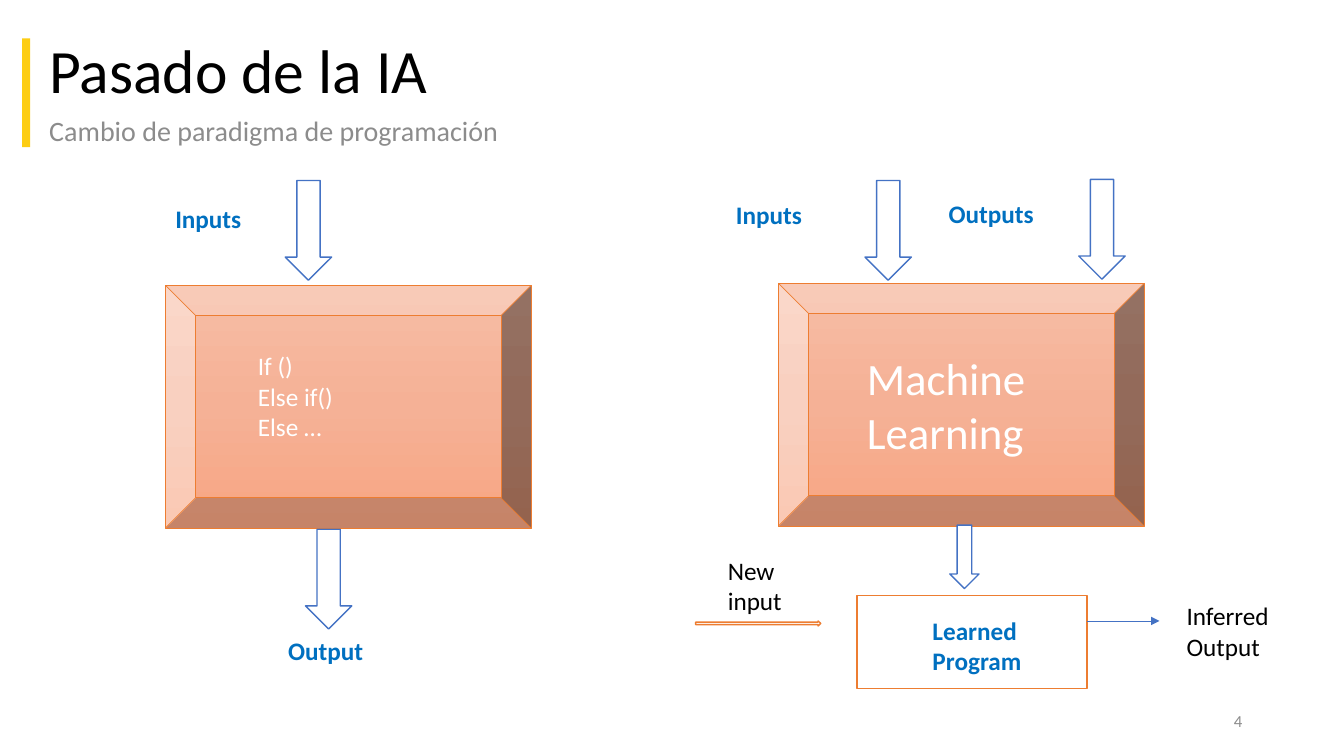
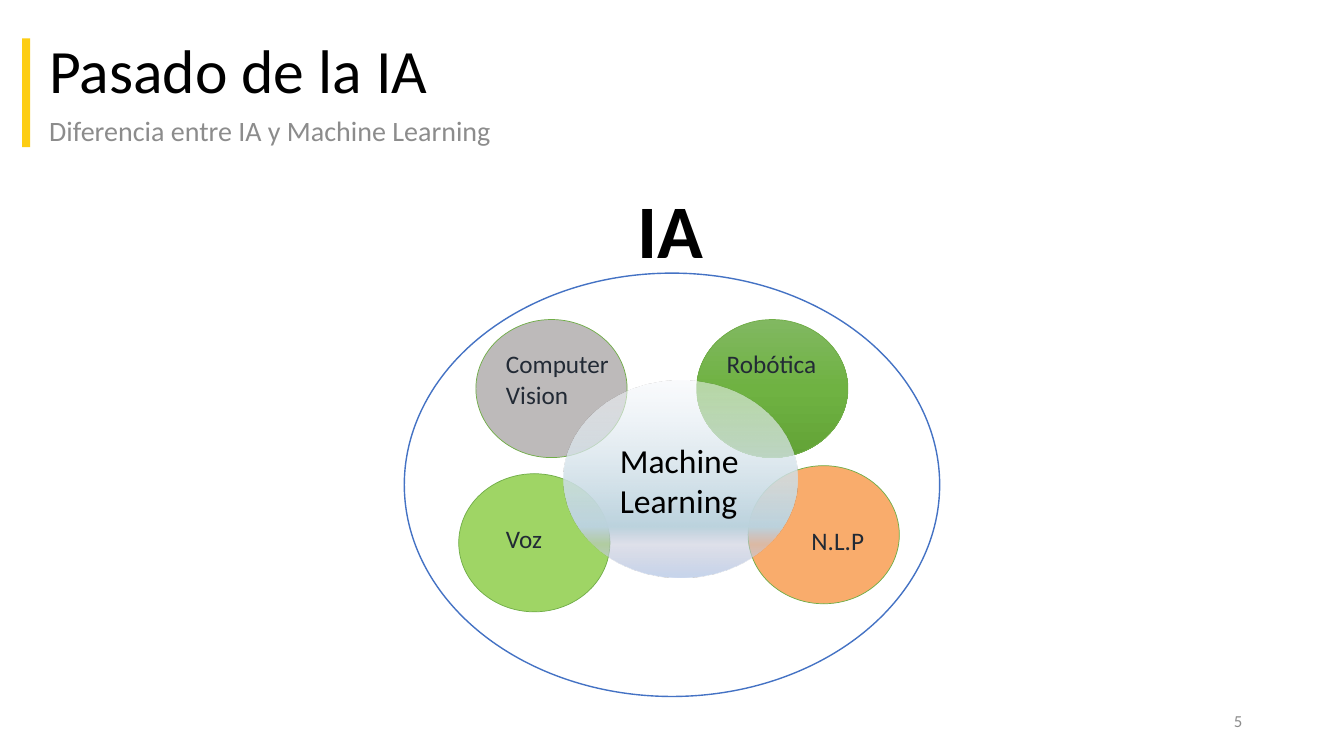
from lxml import etree
from pptx import Presentation
from pptx.dml.color import RGBColor
from pptx.enum.shapes import MSO_CONNECTOR, MSO_SHAPE
from pptx.enum.text import MSO_ANCHOR, PP_ALIGN
from pptx.oxml.ns import qn
from pptx.util import Inches, Pt

RECT, OVAL, BEVEL = MSO_SHAPE.RECTANGLE, MSO_SHAPE.OVAL, MSO_SHAPE.BEVEL
DOWN, RIGHT = MSO_SHAPE.DOWN_ARROW, MSO_SHAPE.RIGHT_ARROW
STRAIGHT = MSO_CONNECTOR.STRAIGHT
TOP, MIDDLE = MSO_ANCHOR.TOP, MSO_ANCHOR.MIDDLE
LEFT, ALIGN_RIGHT = PP_ALIGN.LEFT, PP_ALIGN.RIGHT

FONT = "Calibri"
BLACK = RGBColor(0x00, 0x00, 0x00)
WHITE = RGBColor(0xFF, 0xFF, 0xFF)
GRAY = RGBColor(0x8C, 0x8C, 0x8C)
YELLOW = RGBColor(0xFD, 0xCD, 0x13)
BLUE = RGBColor(0x44, 0x72, 0xC4)
LABEL_BLUE = RGBColor(0x00, 0x70, 0xC0)
ORANGE = RGBColor(0xED, 0x7D, 0x31)
GREEN = RGBColor(0x70, 0xAD, 0x47)
NAVY = RGBColor(0x22, 0x2A, 0x35)
STONE = RGBColor(0x98, 0x94, 0x94)
LIME = RGBColor(0x92, 0xD0, 0x50)
TANGERINE = RGBColor(0xF6, 0x7E, 0x1A)

PEACH_STOPS = [(0, RGBColor(0xF7, 0xBD, 0xA5), 100),
               (50, RGBColor(0xF5, 0xB1, 0x96), 100),
               (100, RGBColor(0xF8, 0xA5, 0x82), 100)]
GREEN_STOPS = [(0, RGBColor(0x81, 0xB8, 0x61), 100),
               (50, RGBColor(0x6F, 0xB2, 0x42), 100),
               (100, RGBColor(0x62, 0xA3, 0x36), 100)]
MIST_STOPS = [(0, RGBColor(0xF6, 0xF8, 0xFC), 52),
              (74, RGBColor(0xBC, 0xD3, 0xDE), 100),
              (83, RGBColor(0xC2, 0xC6, 0xD8), 52),
              (100, RGBColor(0xC7, 0xD5, 0xED), 100)]


def add_alpha(color, percent):
    """Set the opacity of a colour element."""
    etree.SubElement(color, qn("a:alpha")).set("val", str(percent * 1000))


def fill_gradient(sp, stops):
    """Fill a shape from top to bottom with (position, colour, opacity) stops."""
    sp.fill.background()
    grad = etree.Element(qn("a:gradFill"), rotWithShape="1")
    stop_list = etree.SubElement(grad, qn("a:gsLst"))
    for position, color, opacity in stops:
        stop = etree.SubElement(stop_list, qn("a:gs"), pos=str(position * 1000))
        tint = etree.SubElement(stop, qn("a:srgbClr"), val=str(color))
        if opacity < 100:
            add_alpha(tint, opacity)
    etree.SubElement(grad, qn("a:lin"), ang="5400000", scaled="0")
    props = sp.element.spPr
    props.replace(props.find(qn("a:noFill")), grad)


def add_shape(s, kind, x, y, w, h, fill=WHITE, line=None, width=1, opacity=100):
    """Add a preset shape with a solid colour or a list of gradient stops."""
    sp = s.shapes.add_shape(kind, Inches(x), Inches(y), Inches(w), Inches(h))
    sp.shadow.inherit = False
    if isinstance(fill, list):
        fill_gradient(sp, fill)
    else:
        sp.fill.solid()
        sp.fill.fore_color.rgb = fill
        if opacity < 100:
            add_alpha(sp.element.spPr.find(qn("a:solidFill"))[0], opacity)
    if line is None:
        sp.line.fill.background()
    else:
        sp.line.color.rgb = line
        sp.line.width = Pt(width)
    return sp


def add_text(s, text, x, y, w, h, size=18, color=BLACK, bold=False,
             align=LEFT, anchor=TOP, spacing=1.0, wrap=True):
    """Add a text box with one paragraph for each line of text."""
    tf = s.shapes.add_textbox(Inches(x), Inches(y), Inches(w), Inches(h)).text_frame
    tf.word_wrap = wrap
    tf.vertical_anchor = anchor
    tf.text = text
    for p in tf.paragraphs:
        p.alignment = align
        p.line_spacing = spacing
        p.font.name = FONT
        p.font.size = Pt(size)
        p.font.bold = bold
        p.font.color.rgb = color


def add_label(s, text, x, y, w=1, h=0.4):
    """Add a bold blue diagram label."""
    add_text(s, text, x, y, w, h, color=LABEL_BLUE, bold=True)


def add_down_arrow(s, x, y, w=0.46, h=0.99):
    """Add an outlined block arrow pointing down."""
    add_shape(s, DOWN, x, y, w, h, line=BLUE)


def add_bevel(s, x, y):
    """Add the raised box that stands for a program."""
    add_shape(s, BEVEL, x, y, 3.63, 2.41, PEACH_STOPS, ORANGE, 0.5)


def add_arrow_line(s, x, y, length):
    """Add a thin horizontal arrow pointing right."""
    line = s.shapes.add_connector(STRAIGHT, Inches(x), Inches(y),
                                  Inches(x + length), Inches(y))
    line.line.color.rgb = BLUE
    line.line.width = Pt(0.5)
    etree.SubElement(line.line._get_or_add_ln(), qn("a:tailEnd"), type="triangle")
    etree.SubElement(line.element.spPr, qn("a:effectLst"))


def add_slide(prs, subtitle, number):
    """Add a slide with the shared accent bar, titles and page number."""
    s = prs.slides.add_slide(prs.slide_layouts[6])
    add_shape(s, RECT, 0.22, 0.38, 0.08, 1.08, YELLOW)
    add_text(s, "Pasado de la IA", 0.39, 0.35, 12.58, 0.76, 44,
             anchor=MIDDLE, spacing=0.9)
    add_text(s, subtitle, 0.39, 1.11, 11.5, 0.4, 20, GRAY, spacing=0.9)
    add_text(s, str(number), 9.42, 6.95, 3, 0.4, 12, GRAY,
             align=ALIGN_RIGHT, anchor=MIDDLE)
    return s


def add_rules_program(s, x, y):
    """Draw the rule-based program, with its bevel at x, y."""
    add_bevel(s, x, y)
    add_down_arrow(s, x + 1.19, y - 1.04)
    add_label(s, "Inputs", x, y - 0.86)
    add_down_arrow(s, x + 1.39, y + 2.42)
    add_label(s, "Output", x + 1.12, y + 3.42)
    add_text(s, "If ()\nElse if()\nElse …", x + 0.82, y + 0.6, 1.81, 1.01,
             color=WHITE)


def add_learning_program(s, x, y):
    """Draw the machine learning flow, with its bevel at x, y."""
    add_bevel(s, x, y)
    add_text(s, "Machine Learning", x + 0.78, y + 0.62, 2.2, 1.18, 32, WHITE)
    add_down_arrow(s, x + 0.86, y - 1.02)
    add_label(s, "Inputs", x - 0.52, y - 0.88)
    add_down_arrow(s, x + 2.98, y - 1.03)
    add_label(s, "Outputs", x + 1.59, y - 0.89, 1.15)
    add_shape(s, RECT, x + 0.78, y + 3.1, 2.28, 0.92, line=ORANGE)
    add_down_arrow(s, x + 1.7, y + 2.4, 0.29, 0.63)
    add_label(s, "Learned Program", x + 1.43, y + 3.24, 1.19, 0.71)
    add_shape(s, RIGHT, x - 0.82, y + 3.35, 1.24, 0.05, line=ORANGE)
    add_text(s, "New input", x - 0.6, y + 2.65, 1.1, 0.71)
    add_arrow_line(s, x + 3.06, y + 3.35, 0.72)
    add_text(s, "Inferred Output", x + 3.95, y + 3.1, 1.28, 0.71)


def add_field(s, x, y, fill, opacity, text, dx, dy, w=1.3, h=0.4):
    """Draw one field of AI as an ellipse with its label offset by dx, dy."""
    add_shape(s, OVAL, x, y, 1.5, 1.37, fill, GREEN, 0.5, opacity)
    add_text(s, text, x + dx, y + dy, w, h, color=NAVY)


def add_ai_map(s, x, y):
    """Draw the AI ellipse at x, y with its fields around machine learning."""
    add_shape(s, OVAL, x, y, 5.31, 4.2, line=BLUE)
    add_text(s, "IA", x + 2.21, y - 0.94, 0.86, 1.01, 54, bold=True, wrap=False)
    add_field(s, x + 0.71, y + 0.46, STONE, 64, "Computer Vision", 0.2, 0.24, h=0.71)
    add_field(s, x + 2.9, y + 0.46, GREEN_STOPS, 100, "Robótica", 0.2, 0.24)
    add_field(s, x + 0.54, y + 1.99, LIME, 88, "Voz", 0.37, 0.44)
    add_field(s, x + 3.41, y + 1.91, TANGERINE, 64, "N.L.P", 0.53, 0.54, w=0.92)
    add_shape(s, OVAL, x + 1.58, y + 1.07, 2.32, 1.95, MIST_STOPS)
    add_text(s, "Machine Learning", x + 2.04, y + 1.6, 1.54, 0.91, 24)


def main():
    """Build and save the presentation."""
    prs = Presentation()
    prs.slide_width, prs.slide_height = Inches(13.33), Inches(7.5)
    s = add_slide(prs, "Cambio de paradigma de programación", 4)
    add_rules_program(s, 1.64, 2.83)
    add_learning_program(s, 7.72, 2.81)
    s = add_slide(prs, "Diferencia entre IA y Machine Learning", 5)
    add_ai_map(s, 4.01, 2.71)
    prs.save("out.pptx")


if __name__ == "__main__":
    main()
